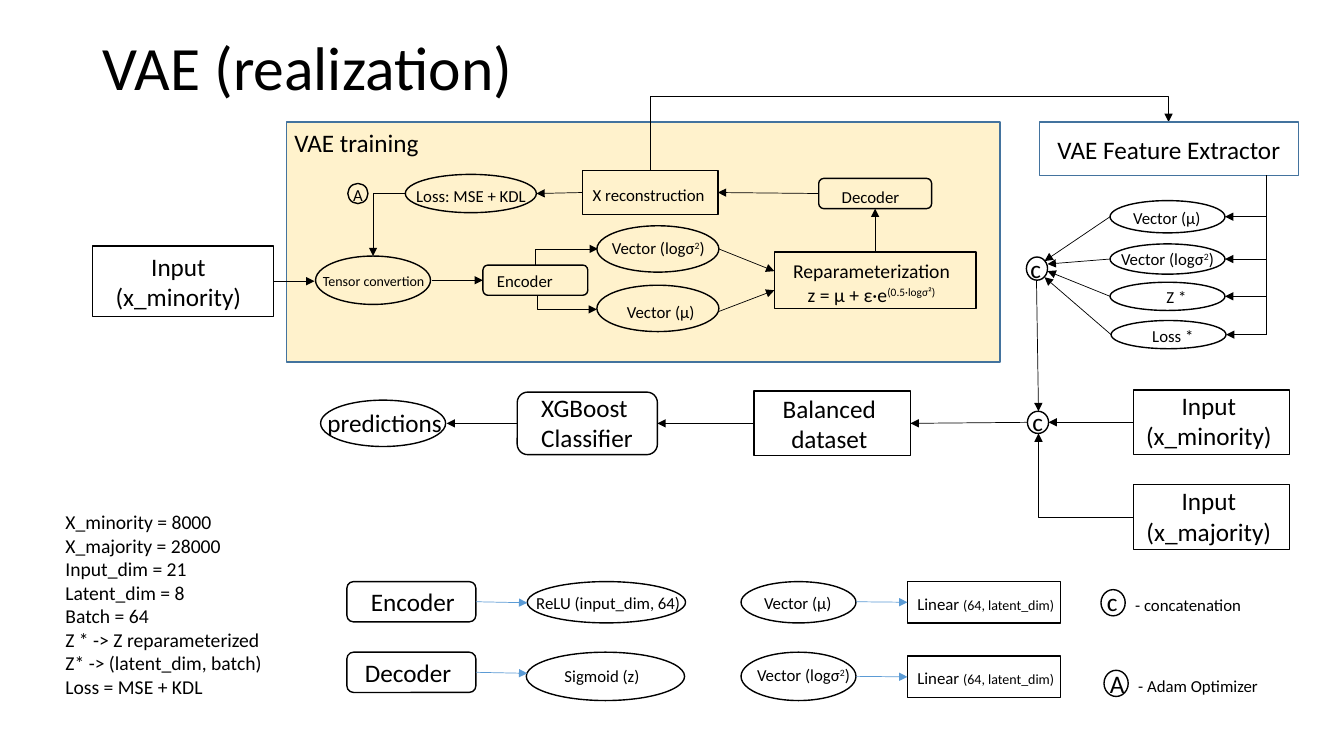
from lxml import etree
from pptx import Presentation
from pptx import util as u
from pptx.dml import color
from pptx.enum import shapes, text
from pptx.oxml import ns

RECT = shapes.MSO_SHAPE.RECTANGLE
ROUND = shapes.MSO_SHAPE.ROUNDED_RECTANGLE
OVAL = shapes.MSO_SHAPE.OVAL
MID = text.PP_ALIGN.CENTER
TOP, LEFT, BOTTOM, RIGHT = range(4)


def px(n):
    return u.Emu(n * 9144)


def rgb(code):
    return color.RGBColor.from_string(code)


class Chart:
    font = "Calibri"
    ink = "000000"
    edge = "43739E"
    blue = "5B9BD5"
    cream = "FFF2CC"

    def __init__(self, slide):
        self.items = slide.shapes

    def node(self, kind, x, y, w, h, fill=None, line=ink):
        node = self.items.add_shape(kind, px(x), px(y), px(w), px(h))
        node.shadow.inherit = False
        if fill:
            node.fill.solid()
            node.fill.fore_color.rgb = rgb(fill)
        else:
            node.fill.background()
        node.line.color.rgb = rgb(line)
        node.line.width = u.Pt(1)
        return node

    def label(self, x, y, w, h, words, size=12, align=None, small=None, wrap=True):
        frame = self.items.add_textbox(px(x), px(y), px(w), px(h)).text_frame
        frame.word_wrap = wrap
        frame.auto_size = text.MSO_AUTO_SIZE.SHAPE_TO_FIT_TEXT
        for i, row in enumerate(words.split("\n")):
            para = frame.add_paragraph() if i else frame.paragraphs[0]
            para.alignment = align
            for j, part in enumerate(row.split("|")):
                if not part:
                    continue
                run = para.add_run()
                run.text = part
                run.font.name = self.font
                run.font.size = u.Pt(size)
                run.font.color.rgb = rgb(self.ink)
                if j % 2 and small:
                    run.font.size = u.Pt(small)
                elif j % 2:
                    run._r.get_or_add_rPr().set("baseline", "30000")
        return frame

    def style(self, line, tint, head):
        line.line.color.rgb = rgb(tint)
        line.line.width = u.Pt(0.5)
        if head:
            etree.SubElement(line.get_or_add_ln(), ns.qn("a:tailEnd"), type="triangle")
        etree.SubElement(line._element.spPr, ns.qn("a:effectLst"))

    def link(self, x, y, to_x, to_y, start=None, end=None, tint=ink, head=True):
        line = self.items.add_connector(
            shapes.MSO_CONNECTOR.STRAIGHT, px(x), px(y), px(to_x), px(to_y))
        if start:
            line.begin_connect(*start)
        if end:
            line.end_connect(*end)
        self.style(line, tint, head)

    def bend(self, x, y, w, h, turn=0, flip="", kind=2, shift=None):
        left, right = (x + w, x) if "h" in flip else (x, x + w)
        top, base = (y + h, y) if "v" in flip else (y, y + h)
        line = self.items.add_connector(
            shapes.MSO_CONNECTOR.ELBOW, px(left), px(top), px(right), px(base))
        prop = line._element.spPr
        prop.find(ns.qn("a:xfrm")).set("rot", str(turn * 60000))
        form = prop.find(ns.qn("a:prstGeom"))
        form.set("prst", f"bentConnector{kind}")
        if shift is not None:
            etree.SubElement(form.find(ns.qn("a:avLst")), ns.qn("a:gd"),
                             name="adj1", fmla=f"val {shift}")
        self.style(line, self.ink, True)


def train(c):
    c.node(RECT, 284, 121, 708, 238, c.cream, c.edge)
    c.label(282, 121, 169, 40, "VAE training", 18)
    source = c.node(RECT, 92, 244, 179, 70, "FFFFFF")
    c.label(97, 244, 160, 71, "Input (x_minority)", 18, MID)
    coder = c.node(ROUND, 479, 263, 104, 30)
    c.label(483, 264, 169, 30, "Encoder")
    maker = c.node(ROUND, 812, 177, 112, 30)
    c.label(825, 180, 115, 30, "Decoder")
    param = c.node(RECT, 768, 250, 200, 56)
    c.label(733, 252, 263, 57, "Reparameterization\nz = μ + ε·e|(0.5·logσ²)", 14, MID)
    recon = c.node(RECT, 578, 169, 134, 44)
    c.label(578, 178, 134, 30, "X reconstruction")
    for oval in ((313, 254, 114, 48), (592, 283, 121, 46), (592, 224, 121, 46),
                 (402, 173, 130, 38), (345, 182, 20, 20)):
        c.node(OVAL, *oval)
    c.label(270, 265, 201, 27, "Tensor convertion", 10, MID)
    c.label(597, 231, 122, 30, "Vector (logσ|2|)")
    c.label(612, 294, 101, 30, "Vector (μ)")
    c.label(403, 179, 130, 30, "Loss: MSE + KDL")
    c.label(343, 178, 17, 30, "A")
    c.link(270, 279, 312, 279, (source, RIGHT))
    c.link(428, 278, 481, 278, end=(coder, LEFT))
    c.link(866, 251, 866, 209, (param, TOP), (maker, BOTTOM))
    c.link(812, 192, 713, 192, (maker, LEFT), (recon, RIGHT))
    c.link(577, 192, 532, 192, (recon, LEFT))
    c.link(713, 247, 768, 269)
    c.link(713, 309, 768, 288)
    c.bend(370, 192, 33, 62, 180, "v")
    c.bend(554, 224, 16, 62, 90, "hv")
    c.bend(533, 293, 59, 14, kind=3, shift=100)
    c.bend(878, -112, 48, 514, 90, "hv", 3, 152200)


def extract(c):
    c.node(RECT, 1031, 121, 257, 53, line=c.edge)
    c.label(1039, 128, 254, 40, "VAE Feature Extractor", 18)
    c.link(1256, 174, 1256, 332, head=False)
    c.node(OVAL, 1018, 255, 21, 23)
    c.label(1012, 246, 41, 40, "c", 18)
    for x, y, h, mid, hub_x, hub_y in ((1101, 199, 32, 215, 1036, 259),
                                       (1101, 242, 30, 257, 1039, 262),
                                       (1101, 280, 28, 294, 1039, 269),
                                       (1102, 318, 28, 332, 1036, 275)):
        c.node(OVAL, x, y, 114, h)
        c.link(1256, mid, x + 114, mid)
        c.link(x, mid, hub_x, hub_y)
    c.label(1114, 201, 87, 30, "Vector (μ)", wrap=False)
    c.label(1102, 242, 118, 50, "Vector (logσ|2|)")
    c.label(1147, 280, 109, 30, "Z *")
    c.label(1133, 318, 76, 30, "Loss *")


def predict(c):
    minor = c.node(RECT, 1124, 387, 155, 64)
    c.label(1119, 382, 160, 71, "Input\n(x_minority)", 18, MID)
    c.node(RECT, 1124, 481, 155, 64)
    c.label(1126, 477, 146, 71, "Input\n(x_majority)", 18, MID)
    c.node(OVAL, 1019, 408, 21, 22)
    c.label(1014, 398, 33, 40, "c", 18)
    data = c.node(RECT, 748, 388, 155, 64)
    c.label(762, 385, 121, 71, "Balanced dataset", 18, MID)
    model = c.node(ROUND, 513, 389, 139, 62)
    c.label(527, 384, 126, 71, "XGBoost Classifier", 18)
    c.node(OVAL, 318, 397, 124, 46)
    c.label(315, 399, 134, 40, "predictions", 18)
    c.link(1028, 278, 1030, 408)
    c.link(1124, 419, 1040, 419, (minor, LEFT))
    c.link(1019, 419, 902, 419, end=(data, RIGHT))
    c.link(748, 420, 653, 420, (data, LEFT), (model, RIGHT))
    c.link(513, 420, 443, 420, (model, LEFT))
    c.bend(1030, 430, 94, 83, 180)


def legend(c):
    for y, mid, oval_x, oval_h, rect_y in ((577, 598, 523, 41, 577), (647, 668, 522, 48, 651)):
        coder = c.node(ROUND, 344, y, 128, 40)
        c.node(OVAL, oval_x, y, 157, oval_h)
        c.node(OVAL, 735, y, 114, oval_h)
        layer = c.node(RECT, 900, rect_y, 152, 41)
        c.link(472, mid, 523, mid, (coder, RIGHT), tint=c.blue)
        c.link(849, rect_y + 20, 900, rect_y + 20, end=(layer, LEFT), tint=c.blue)
        c.label(900, rect_y + 7, 271, 30, "Linear |(64, latent_dim)", small=10)
    c.label(358, 577, 113, 40, "Encoder", 18)
    c.label(352, 647, 111, 40, "Decoder", 18)
    c.label(522, 583, 251, 30, "ReLU (input_dim, 64)")
    c.label(550, 656, 165, 30, "Sigmoid (z)")
    c.label(748, 583, 87, 30, "Vector (μ)", wrap=False)
    c.label(741, 655, 132, 71, "Vector (logσ|2|)")
    for x, y, sign, sign_y, note in ((1092, 585, "c", 577, "- concatenation"),
                                     (1095, 665, "A", 658, "- Adam Optimizer")):
        c.node(OVAL, x, y, 24, 26)
        c.label(x - 4, sign_y, 20, 40, sign, 18)
        c.label(x + 24, y, 143, 30, note)
    c.label(55, 501, 302, 199, "\n".join((
        "X_minority = 8000", "X_majority = 28000", "Input_dim = 21", "Latent_dim = 8",
        "Batch = 64", "Z * -> Z reparameterized", "Z* -> (latent_dim, batch)",
        "Loss = MSE + KDL")), 14)


def main():
    deck = Presentation()
    deck.slide_width = u.Inches(13.33)
    deck.slide_height = u.Inches(7.5)
    c = Chart(deck.slides.add_slide(deck.slide_layouts[6]))
    title = c.label(92, 20, 1150, 100, "VAE (realization)", 44)
    title.auto_size = text.MSO_AUTO_SIZE.NONE
    title.vertical_anchor = text.MSO_ANCHOR.MIDDLE
    title.paragraphs[0].line_spacing = 0.9
    train(c)
    extract(c)
    predict(c)
    legend(c)
    deck.save("out.pptx")


if __name__ == "__main__":
    main()
